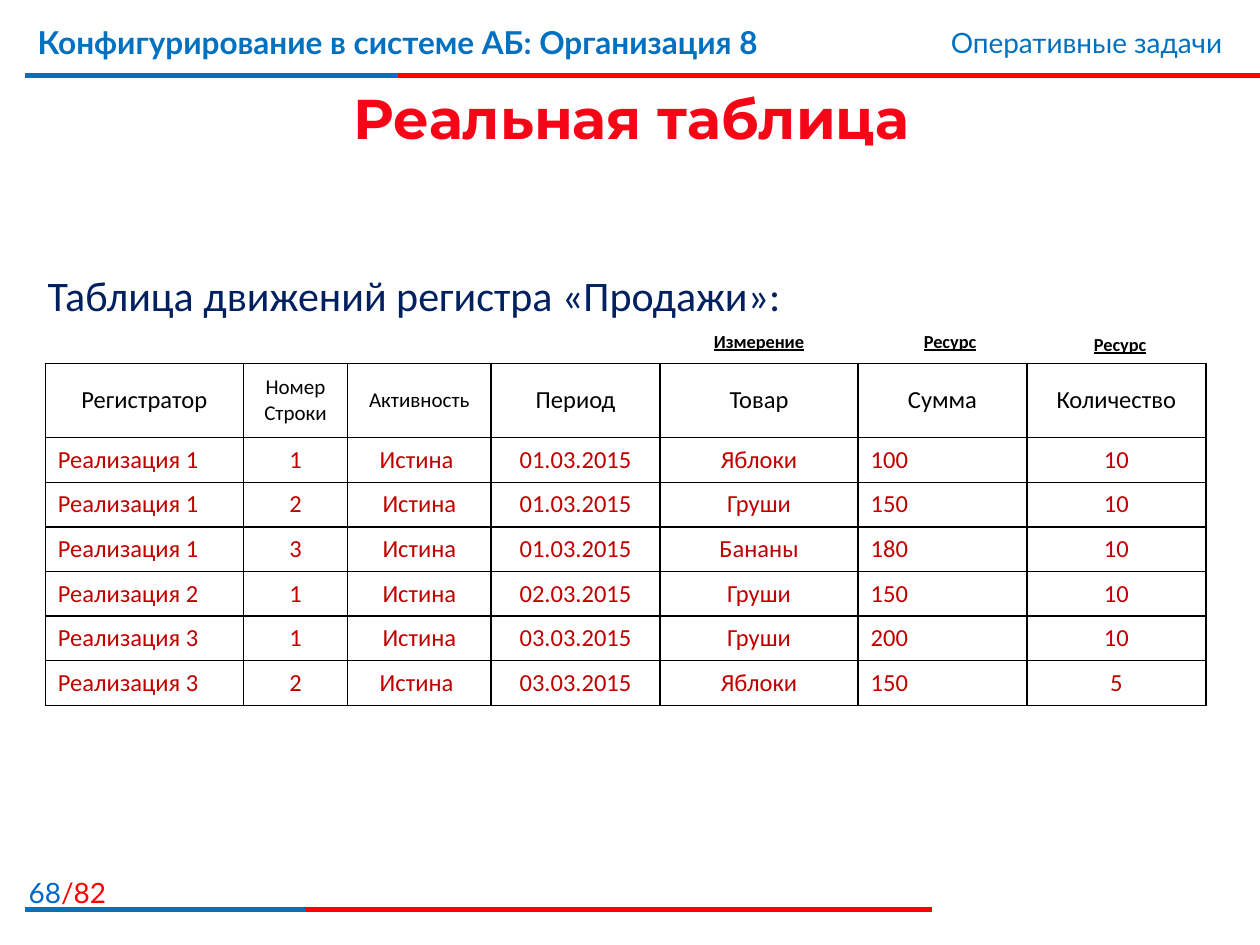
"""Build the slide with the movement table of the sales register."""
from lxml.etree import SubElement
from pptx import Presentation
from pptx.dml.color import RGBColor
from pptx.enum.shapes import MSO_CONNECTOR
from pptx.enum.text import MSO_ANCHOR, PP_ALIGN
from pptx.oxml import parse_xml
from pptx.oxml.ns import nsdecls, qn
from pptx.util import Pt

BLUE = RGBColor(0x00, 0x70, 0xC0)
PAGE_BLUE = RGBColor(0x00, 0x66, 0xCC)
NAVY = RGBColor(0x00, 0x20, 0x60)
RED = RGBColor(0xFF, 0x00, 0x00)
TITLE_RED = RGBColor(0xF5, 0x05, 0x16)
DARK_RED = RGBColor(0xC0, 0x00, 0x00)
BLACK = RGBColor(0x00, 0x00, 0x00)
LEFT, CENTER, RIGHT = PP_ALIGN.LEFT, PP_ALIGN.CENTER, PP_ALIGN.RIGHT

RULES = [(43.2, 706.3, 213.1), (519.8, 518.4, 159.8)]
RULE_LEFT = 14.4
TEXTS = [
    ((-7.2, 496.8, 74.9, 23), [("68", PAGE_BLUE), ("/82", RED)], "Lato", 16, False, RIGHT),
    ((14.4, 9.4, 532.8, 44.6), [("Конфигурирование в системе АБ: Организация 8", BLUE)],
     "Lato", 18, True, LEFT),
    ((427.7, 10.8, 277.9, 26.6), [("Оперативные задачи", BLUE)], "Lato", 16, False, RIGHT),
    ((20.2, 150.5, 434.9, 36), [("Таблица движений регистра «Продажи»:", NAVY)],
     "Calibri", 24, False, LEFT),
    ((15.1, 45.4, 691.9, 43.2), [("Реальная таблица", TITLE_RED)],
     "Montserrat", 32, True, CENTER),
]
LABELS = [("Измерение", 433.8, 185), ("Ресурс", 542.9, 185), ("Ресурс", 640.1, 186.7)]
LABEL_W, LABEL_H = 80, 20.9

TABLE_LEFT, TABLE_TOP = 25.9, 207.6
COL_WIDTHS = [113.2, 59.6, 82, 96.5, 113.2, 96.5, 102.2]
HEAD_H, ROW_H = 42.5, 25.5
HEADER = ["Регистратор", "Номер\nСтроки", "Активность", "Период", "Товар", "Сумма", "Количество"]
HEAD_SIZES = [14, 12, 12, 14, 14, 14, 14]
BODY_ALIGN = [LEFT, CENTER, CENTER, CENTER, CENTER, LEFT, CENTER]
ROWS = [
    ["Реализация 1", "1", "Истина ", "01.03.2015", "Яблоки", "100", "10"],
    ["Реализация 1", "2", "Истина", "01.03.2015", "Груши", "150", "10"],
    ["Реализация 1", "3", "Истина", "01.03.2015", "Бананы", "180", "10"],
    ["Реализация 2", "1", "Истина", "02.03.2015", "Груши", "150", "10"],
    ["Реализация 3", "1", "Истина", "03.03.2015", "Груши", "200", "10"],
    ["Реализация 3", "2", "Истина ", "03.03.2015", "Яблоки", "150", "5"],
]


def add_run(p, text, font, size, color, bold=False, underline=False):
    r = p.add_run()
    r.text = text
    r.font.name, r.font.size = font, Pt(size)
    r.font.bold, r.font.underline = bold, underline
    r.font.color.rgb = color


def add_text(s, box, runs, font, size, bold, align, underline=False):
    tf = s.shapes.add_textbox(*map(Pt, box)).text_frame
    tf.word_wrap = True
    if font == "Montserrat":
        tf.vertical_anchor = MSO_ANCHOR.MIDDLE
    p = tf.paragraphs[0]
    p.alignment = align
    for text, color in runs:
        add_run(p, text, font, size, color, bold, underline)


def add_rule(s, y, length, color):
    line = s.shapes.add_connector(
        MSO_CONNECTOR.STRAIGHT, Pt(RULE_LEFT), Pt(y), Pt(RULE_LEFT + length), Pt(y))
    line.line.color.rgb, line.line.width = color, Pt(3)
    SubElement(line._element.spPr, qn("a:effectLst"))


def fill_cell(cell, text, size, color, align):
    cell.vertical_anchor = MSO_ANCHOR.MIDDLE
    tf = cell.text_frame
    for i, part in enumerate(text.split("\n")):
        p = tf.add_paragraph() if i else tf.paragraphs[0]
        p.alignment = align
        add_run(p, part, "Calibri", size, color)
    for side in ("lnL", "lnR", "lnT", "lnB"):
        cell._tc.get_or_add_tcPr().append(parse_xml(
            f'<a:{side} {nsdecls("a")} w="{Pt(1)}"><a:solidFill>'
            f'<a:srgbClr val="{BLACK}"/></a:solidFill></a:{side}>'))
    cell.fill.background()


def add_register(s):
    heights = [HEAD_H] + [ROW_H] * len(ROWS)
    shape = s.shapes.add_table(
        len(heights), len(COL_WIDTHS), Pt(TABLE_LEFT), Pt(TABLE_TOP),
        Pt(sum(COL_WIDTHS)), Pt(sum(heights)))
    table = shape.table
    table.first_row = table.horz_banding = False
    for col, width in zip(table.columns, COL_WIDTHS):
        col.width = Pt(width)
    for row, height in zip(table.rows, heights):
        row.height = Pt(height)
    for c, (text, size) in enumerate(zip(HEADER, HEAD_SIZES)):
        fill_cell(table.cell(0, c), text, size, BLACK, CENTER)
    for r, row in enumerate(ROWS, 1):
        for c, text in enumerate(row):
            fill_cell(table.cell(r, c), text, 14, DARK_RED, BODY_ALIGN[c])


def main():
    prs = Presentation()
    prs.slide_width, prs.slide_height = Pt(720), Pt(540)
    s = prs.slides.add_slide(prs.slide_layouts[6])
    for y, red_length, blue_length in RULES:
        add_rule(s, y, red_length, RED)
        add_rule(s, y, blue_length, BLUE)
    add_register(s)
    for text in TEXTS:
        add_text(s, *text)
    for label, center, top in LABELS:
        box = (center - LABEL_W / 2, top, LABEL_W, LABEL_H)
        add_text(s, box, [(label, BLACK)], "Calibri", 10.5, True, CENTER, True)
    prs.save("out.pptx")


if __name__ == "__main__":
    main()
